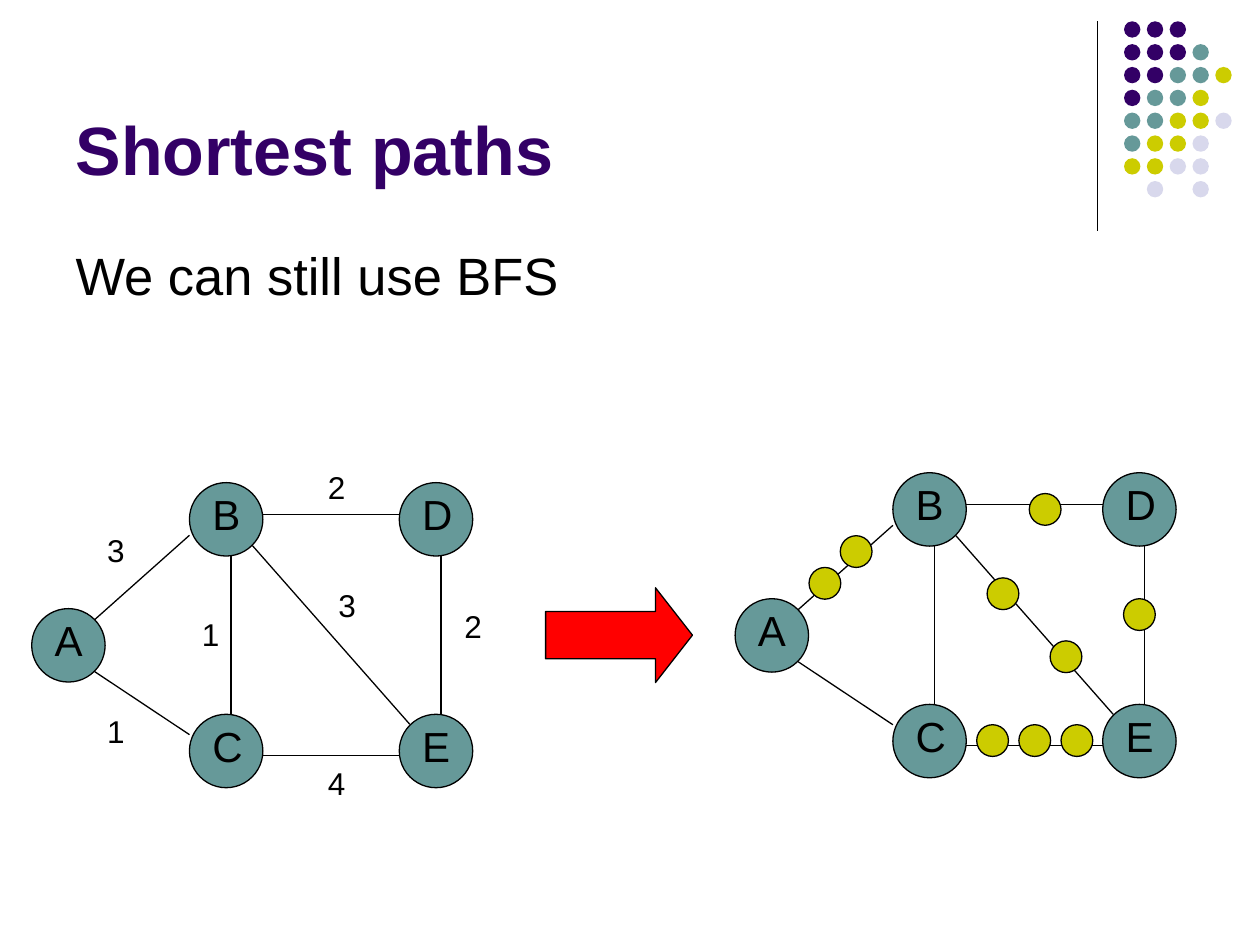
"""Builds a slide showing a weighted graph expanded so that BFS finds shortest paths."""
from lxml import etree
from pptx import Presentation
from pptx import util as u
from pptx.dml.color import RGBColor
from pptx.enum import shapes as sh, text as tx
from pptx.oxml.ns import qn

TITLE = "Shortest paths"
BODY = "We can still use BFS"
NODES = {"A": (0, 2.54), "B": (3.18, 0), "C": (3.18, 4.67),
         "E": (7.41, 4.67), "D": (7.41, 0)}
EDGES = [(1.27, 2.76, 3.18, 1.06), (1.27, 3.81, 3.18, 5.08),
         (4.66, 5.5, 7.41, 5.5), (8.25, 4.67, 8.25, 1.48),
         (4.02, 4.67, 4.02, 1.48), (4.66, 0.64, 7.41, 0.64),
         (4.45, 1.27, 7.62, 4.87)]
COSTS = [("1", 1.27, 4.5), ("1", 3.18, 2.54), ("3", 1.27, 0.85),
         ("2", 5.72, -0.42), ("2", 8.47, 2.38), ("3", 5.93, 1.95),
         ("4", 5.72, 5.55)]
STEPS = [(1.49, 1.91), (2.12, 1.27), (5.08, 2.12), (6.35, 3.39),
         (7.83, 2.54), (5.93, 0.42), (4.87, 5.08), (5.72, 5.08), (6.57, 5.08)]
DOTS = ["PPP", "PPPT", "PPTTY", "PTTY", "TTYYL", "TYYL", "YYLL", " L L"]
LEFT, RIGHT = (0.64, 9.73), (14.82, 9.53)
THEME = {"font": "Arial", "title": 39, "body": 30, "node": 24, "cost": 18,
         "line": 0.75, "ink": "000000", "red": "FF0000",
         "P": "330066", "T": "669999", "Y": "CCCC00", "L": "D8D8EC"}


def color(key):
    return RGBColor.from_string(THEME[key])


def place(item, *box):
    item.left, item.top, item.width, item.height = map(u.Cm, box)


def write(item, words, size="cost", ink="ink", bold=False, anchor="TOP", fit="NONE"):
    frame = item.text_frame
    frame.word_wrap = True
    frame.auto_size = getattr(tx.MSO_AUTO_SIZE, fit)
    frame.vertical_anchor = getattr(tx.MSO_ANCHOR, anchor)
    par = frame.paragraphs[0]
    par.text = words
    par.alignment = tx.PP_ALIGN.LEFT
    par.space_before = u.Pt(0)
    props = par._p.get_or_add_pPr()
    props.set("marL", "0")
    props.set("indent", "0")
    etree.SubElement(props, qn("a:buNone"))
    font = par.font
    font.name, font.size, font.bold = THEME["font"], u.Pt(THEME[size]), bold
    font.color.rgb = color(ink)


def label(host, words, *box, **form):
    write(host.add_textbox(*map(u.Cm, box)), words, fit="SHAPE_TO_FIT_TEXT", **form)


def draw(host, *box, fill, kind="OVAL", edge=True):
    item = host.add_shape(getattr(sh.MSO_SHAPE, kind), *map(u.Cm, box))
    item.shadow.inherit = False
    item.fill.solid()
    item.fill.fore_color.rgb = color(fill)
    if edge:
        item.line.color.rgb = color("ink")
        item.line.width = u.Pt(THEME["line"])
    else:
        item.line.fill.background()
    return item


def link(host, *ends):
    line = host.add_connector(sh.MSO_CONNECTOR.STRAIGHT, *map(u.Cm, ends))
    line.line.color.rgb = color("ink")
    line.line.width = u.Pt(THEME["line"])
    etree.SubElement(line._element.spPr, qn("a:effectLst"))


def graph(host, left, top):
    for name, (x, y) in NODES.items():
        group = host.add_group_shape().shapes
        draw(group, left + x, top + y, 1.48, 1.48, fill="T")
        label(group, name, left + x + 0.21, top + y, 1.27, 1.27, size="node")
    for x, y, far, low in EDGES:
        link(host, left + x, top + y, left + far, top + low)


def main():
    deck = Presentation()
    deck.slide_width, deck.slide_height = u.Cm(25.4), u.Cm(19.05)
    slide = deck.slides.add_slide(deck.slide_layouts[1])
    host = slide.shapes
    title, body = slide.placeholders
    place(title, 1.27, 0.33, 20.96, 3.61)
    write(title, TITLE, size="title", ink="P", bold=True, anchor="BOTTOM")
    place(body, 1.27, 4.78, 22.86, 2.21)
    write(body, BODY, size="body")

    link(host, 22.12, 0.43, 22.12, 4.65)
    group = host.add_group_shape().shapes
    for row, keys in enumerate(DOTS):
        for col, key in enumerate(keys):
            if key != " ":
                draw(group, 22.66 + 0.46 * col, 0.43 + 0.46 * row, 0.33, 0.33,
                     fill=key, edge=False)

    graph(host, *LEFT)
    for words, x, y in COSTS:
        label(host, words, LEFT[0] + x, LEFT[1] + y, 1.48, 1.02)
    graph(host, *RIGHT)
    for x, y in STEPS:
        draw(host, RIGHT[0] + x, RIGHT[1] + y, 0.64, 0.64, fill="Y")
    arrow = draw(host, 11, 11.85, 2.96, 1.91, fill="red", kind="RIGHT_ARROW")
    arrow.adjustments[1] = 0.39
    deck.save("out.pptx")


if __name__ == "__main__":
    main()
